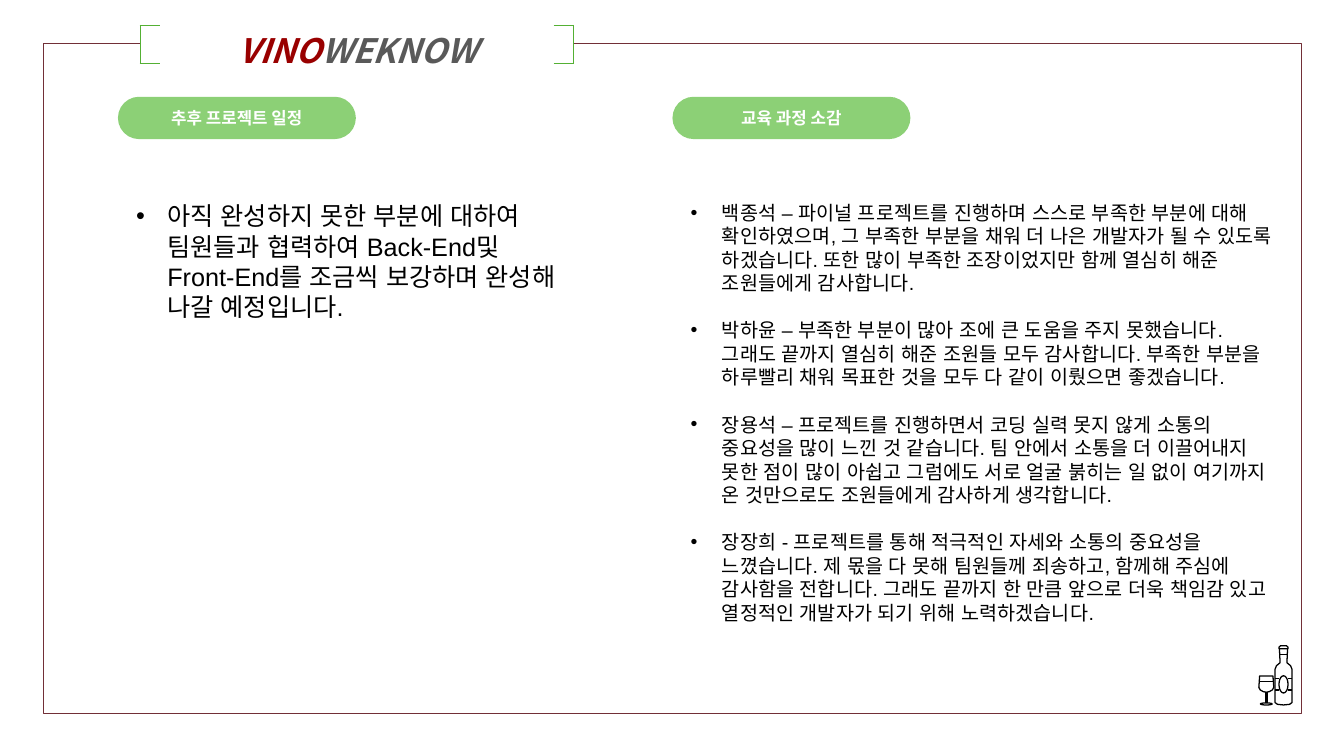
from math import cos, pi, sin

from lxml.etree import SubElement
from pptx import Presentation
from pptx.dml.color import RGBColor
from pptx.enum.shapes import MSO_SHAPE as SHAPE
from pptx.enum.text import MSO_ANCHOR as ANCHOR, MSO_AUTO_SIZE as AUTO, PP_ALIGN as ALIGN
from pptx.oxml.ns import qn
from pptx.util import Inches, Pt

COLORS = {"wine": "722F37", "bracket": "54B034", "pill": "8CD076", "red": "990000",
          "gray": "595959", "white": "FFFFFF", "black": "000000"}
HEAD_FONT, BODY_FONT = "Noto Sans CJK KR", "Arial"

PLAN = ["아직 완성하지 못한 부분에 대하여 팀원들과 협력하여 Back-End및 Front-End를 조금씩 보강하며 "
        "완성해 나갈 예정입니다."]
REVIEWS = [
    "백종석 – 파이널 프로젝트를 진행하며 스스로 부족한 부분에 대해 확인하였으며, 그 부족한 부분을 채워 "
    "더 나은 개발자가 될 수 있도록 하겠습니다. 또한 많이 부족한 조장이었지만 함께 열심히 해준 "
    "조원들에게 감사합니다.",
    "박하윤 – 부족한 부분이 많아 조에 큰 도움을 주지 못했습니다. 그래도 끝까지 열심히 해준 조원들 모두 "
    "감사합니다. 부족한 부분을 하루빨리 채워 목표한 것을 모두 다 같이 이뤘으면 좋겠습니다.",
    "장용석 – 프로젝트를 진행하면서 코딩 실력 못지 않게 소통의 중요성을 많이 느낀 것 같습니다. 팀 안에서 "
    "소통을 더 이끌어내지 못한 점이 많이 아쉽고 그럼에도 서로 얼굴 붉히는 일 없이 여기까지 온 것만으로도 "
    "조원들에게 감사하게 생각합니다.",
    "장장희 - 프로젝트를 통해 적극적인 자세와 소통의 중요성을 느꼈습니다. 제 몫을 다 못해 팀원들께 "
    "죄송하고, 함께해 주심에 감사함을 전합니다. 그래도 끝까지 한 만큼 앞으로 더욱 책임감 있고 열정적인 "
    "개발자가 되기 위해 노력하겠습니다.",
]


def rgb(name):
    return RGBColor.from_string(COLORS[name])


def style(font, name, size, color, bold=False, italic=False):
    font.name, font.size, font.bold, font.italic = name, Pt(size), bold, italic
    font.color.rgb = rgb(color)


def set_east_asian(r, name):
    SubElement(r.font._element, qn("a:ea"), typeface=name)


def place(slide, ph, x, y, w, h):
    """Position a placeholder and bring it to the front."""
    ph.left, ph.top, ph.width, ph.height = map(Inches, (x, y, w, h))
    slide.shapes._spTree.append(ph._element)
    tf = ph.text_frame
    tf.auto_size, tf.word_wrap, tf.vertical_anchor = AUTO.NONE, True, ANCHOR.TOP
    return tf


def add_frame(slide, x, y, w, h):
    sp = slide.shapes.add_shape(SHAPE.RECTANGLE, *map(Inches, (x, y, w, h)))
    sp.shadow.inherit = False
    sp.fill.background()
    sp.line.color.rgb, sp.line.width = rgb("wine"), Pt(0.75)


def set_borders(cell, sides):
    tc_pr = cell._tc.get_or_add_tcPr()
    for i, side in enumerate("LRTB"):
        ln = SubElement(tc_pr, qn(f"a:ln{side}"), w=str(Pt(0.75)))
        if side in sides:
            fill = SubElement(ln, qn("a:solidFill"))
            SubElement(fill, qn("a:srgbClr"), val=COLORS["bracket"])
        else:
            SubElement(ln, qn("a:noFill"))
        tc_pr.insert(i, ln)


def add_header(slide, x, y, w, h):
    # Brackets around the title
    end = 0.2
    table = slide.shapes.add_table(1, 3, *map(Inches, (x, y, w, h))).table
    for i, (width, sides) in enumerate([(end, "LTB"), (w - 2 * end, ""), (end, "RTB")]):
        table.columns[i].width = Inches(width)
        cell = table.cell(0, i)
        cell.margin_left = cell.margin_right = cell.margin_top = cell.margin_bottom = 0
        cell.fill.solid()
        cell.fill.fore_color.rgb = rgb("white")
        set_borders(cell, sides)
    # Two-colour title
    tf = place(slide, slide.shapes.title, x + 0.05, y - 0.2, w - 0.08, h + 0.25)
    p = tf.paragraphs[0]
    p.alignment, p.line_spacing = ALIGN.CENTER, 1.5
    for text, color in [("VINO", "red"), ("WEKNOW", "gray")]:
        r = p.add_run()
        r.text = text
        style(r.font, HEAD_FONT, 24, color, bold=True, italic=True)


def add_section(slide, body, x, y, heading, items, size, text_box):
    # Heading pill
    sp = slide.shapes.add_shape(SHAPE.ROUNDED_RECTANGLE, *map(Inches, (x, y, 2.36, 0.42)))
    sp.adjustments[0] = 0.5
    sp.shadow.inherit = False
    sp.fill.solid()
    sp.fill.fore_color.rgb = rgb("pill")
    sp.line.fill.background()
    sp.text_frame.text = heading
    sp.text_frame.vertical_anchor = ANCHOR.MIDDLE
    p = sp.text_frame.paragraphs[0]
    p.alignment = ALIGN.CENTER
    style(p.runs[0].font, HEAD_FONT, 12, "white", bold=True)
    set_east_asian(p.runs[0], HEAD_FONT)
    # Bulleted text
    dx, w, h = text_box
    tf = place(slide, body, x + dx, y + 0.98, w, h)
    tf.text = "\n".join(items)
    for i, p in enumerate(tf.paragraphs):
        p_pr = p._p.get_or_add_pPr()
        p_pr.set("marL", str(Inches(0.31)))
        p_pr.set("indent", str(-Inches(0.31)))
        SubElement(p_pr, qn("a:buFont"), typeface=BODY_FONT)
        SubElement(p_pr, qn("a:buChar"), char="•")
        p.alignment, p.line_spacing = ALIGN.LEFT, 1.0
        p.space_before = Pt(size * 1.2 if i else 0)
        style(p.runs[0].font, BODY_FONT, size, "black")
        set_east_asian(p.runs[0], BODY_FONT)


def oval(cx, cy, rx, ry, steps=24):
    return [(cx + rx * cos(2 * pi * i / steps), cy + ry * sin(2 * pi * i / steps))
            for i in range(steps + 1)]


def add_outline(slide, x, y, contours):
    """Draw contours given in thousandths of an inch from (x, y)."""
    fb = slide.shapes.build_freeform(*contours[0][0], scale=Inches(1) / 1000)
    for i, points in enumerate(contours):
        if i:
            fb.move_to(*points[0])
        fb.add_line_segments(points[1:], close=points[0] == points[-1])
    sp = fb.convert_to_shape(Inches(x), Inches(y))
    sp.shadow.inherit = False
    sp.fill.background()
    sp.line.color.rgb, sp.line.width = rgb("black"), Pt(0.9)


def add_wine_icon(slide, x, y):
    # Bottle: body, lip, collar, label edges and badge
    body = [(50, 40), (56, 175), (20, 205), (6, 240), (6, 570), (30, 588), (90, 594),
            (150, 588), (174, 570), (174, 240), (160, 205), (124, 175), (130, 40)]
    lip = [(46, 36), (46, 20), (62, 6), (118, 6), (134, 20), (134, 36), (46, 36)]
    edges = [[(a, b), (a + 38, b)] for b in (335, 445) for a in (10, 132)]
    add_outline(slide, x + 0.16, y,
                [body, lip, [(55, 95), (125, 95)], *edges, oval(90, 390, 45, 85)])
    # Glass: bowl, wine level, stem and foot
    bowl = [(14, 6), (146, 6), (154, 120), (140, 145), (110, 162), (80, 168),
            (50, 162), (20, 145), (6, 120), (14, 6)]
    stem = [[(a, 168), (a, 272)] for a in (74, 86)]
    add_outline(slide, x, y + 0.3, [bowl, [(10, 65), (150, 65)], *stem, oval(80, 284, 58, 10)])


def build_closing_slide(prs):
    slide = prs.slides.add_slide(prs.slide_layouts[3])
    plan_body, review_body = list(slide.placeholders)[1:]
    add_frame(slide, 0.43, 0.43, 12.48, 6.65)
    add_header(slide, 1.39, 0.25, 4.3, 0.38)
    add_section(slide, plan_body, 1.17, 0.96, "추후 프로젝트 일정", PLAN, 18, (0.08, 4.44, 1.31))
    add_wine_icon(slide, 12.48, 6.4)
    add_section(slide, review_body, 6.67, 0.96, "교육 과정 소감", REVIEWS, 14, (0.08, 6.07, 4.58))


def main():
    prs = Presentation()
    prs.slide_width, prs.slide_height = Inches(13.33), Inches(7.5)
    build_closing_slide(prs)
    prs.save("out.pptx")


if __name__ == "__main__":
    main()
